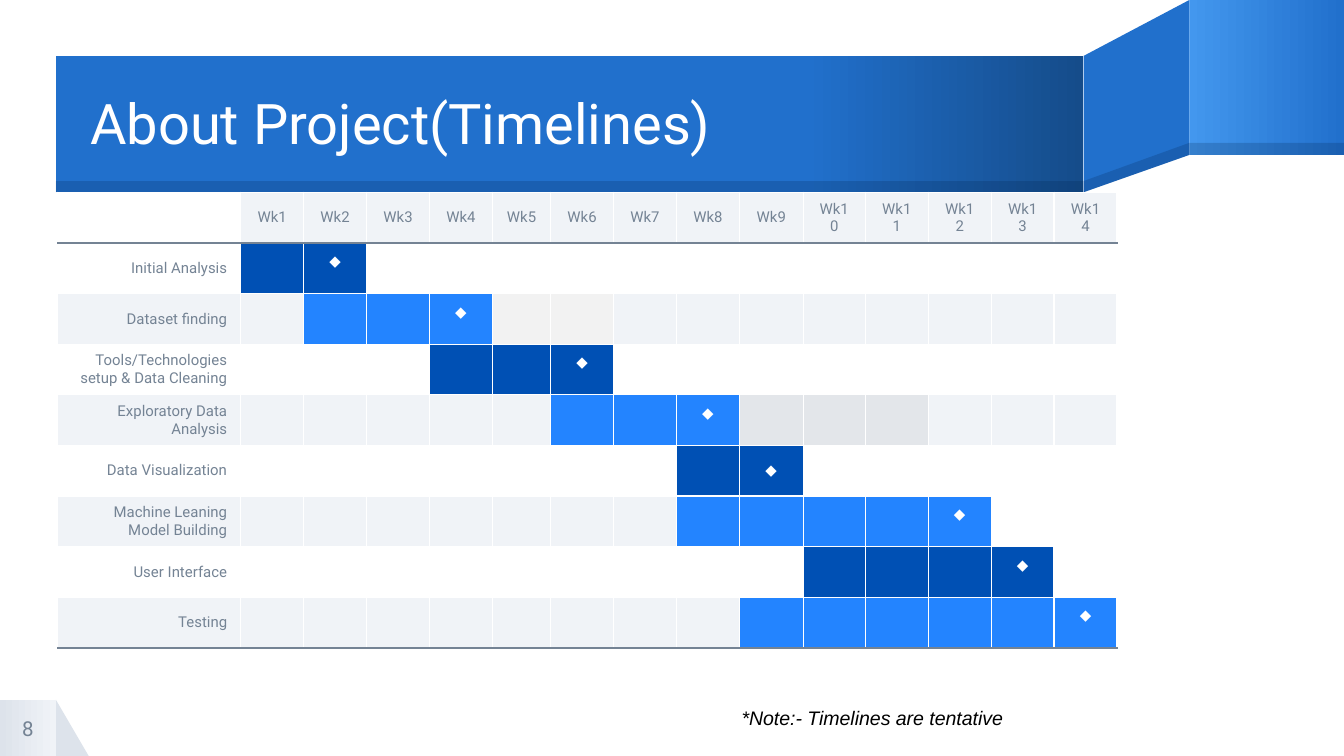
from lxml.etree import SubElement
from pptx import Presentation
from pptx.dml.color import RGBColor
from pptx.enum.shapes import MSO_SHAPE as Shape
from pptx.enum.text import MSO_ANCHOR as Anchor, PP_ALIGN as Align
from pptx.oxml import parse_xml
from pptx.oxml.ns import nsdecls, qn
from pptx.util import Pt

WHITE = RGBColor(0xFF, 0xFF, 0xFF)
BLACK = RGBColor(0x00, 0x00, 0x00)
GREY = RGBColor(0x74, 0x83, 0x94)
PALE = RGBColor(0xF0, 0xF3, 0xF7)
MIST = RGBColor(0xDD, 0xE3, 0xEB)
SMOKE = RGBColor(0xF2, 0xF2, 0xF2)
SILVER = RGBColor(0xE3, 0xE6, 0xEA)
NAVY = RGBColor(0x00, 0x50, 0xB4)
AZURE = RGBColor(0x23, 0x84, 0xFF)
BLUE = RGBColor(0x21, 0x70, 0xCC)
SKY = RGBColor(0x43, 0x97, 0xEE)
DEEP = RGBColor(0x15, 0x4C, 0x8A)
SHADE = RGBColor(0x00, 0x1F, 0x46)

WEEKS = 14
TASKS = [
    ("Initial Analysis", 1, 2, 2, None),
    ("Dataset finding", 2, 4, 6, SMOKE),
    ("Tools/Technologies setup & Data Cleaning", 4, 6, 6, None),
    ("Exploratory Data Analysis", 6, 8, 11, SILVER),
    ("Data Visualization", 8, 9, 9, None),
    ("Machine Leaning Model Building", 8, 12, 14, WHITE),
    ("User Interface", 10, 13, 13, None),
    ("Testing", 9, 14, 14, None),
]


def paint(sp, color, alpha=None):
    """Fill a shape with one colour, without line or shadow."""
    sp.shadow.inherit = False
    sp.line.fill.background()
    sp.fill.solid()
    sp.fill.fore_color.rgb = color
    if alpha is not None:
        clr = sp.fill._xPr.find(qn("a:solidFill"))[0]
        SubElement(clr, qn("a:alpha"), val=str(alpha * 1000))


def add_block(s, kind, x, y, w, h, color, alpha=None):
    """Add a preset shape in one colour."""
    sp = s.shapes.add_shape(kind, Pt(x), Pt(y), Pt(w), Pt(h))
    paint(sp, color, alpha)
    return sp


def add_gradient(s, x, y, w, h, start, end, offset=0):
    """Add a rectangle that fades from left to right."""
    sp = add_block(s, Shape.RECTANGLE, x, y, w, h, start)
    sp.fill.gradient()
    sp.fill.gradient_angle = 0
    first, last = sp.fill.gradient_stops
    first.position, first.color.rgb = offset, start
    last.position, last.color.rgb = 1, end


def add_polygon(s, points, color, alpha=None):
    """Add a closed outline through the points."""
    points = [(Pt(x), Pt(y)) for x, y in points]
    builder = s.shapes.build_freeform(*points[0])
    builder.add_line_segments(points[1:], close=True)
    paint(builder.convert_to_shape(), color, alpha)


def style_text(p, text, size, color, align, font="Roboto"):
    """Set the wording and font of a paragraph."""
    p.text = text
    p.alignment = align
    p.font.size, p.font.name, p.font.color.rgb = Pt(size), font, color


def add_text(s, x, y, w, h, inset=0):
    """Add a wrapping text box and return its frame."""
    tf = s.shapes.add_textbox(Pt(x), Pt(y), Pt(w), Pt(h)).text_frame
    tf.word_wrap = True
    tf.margin_left = tf.margin_right = Pt(2 * inset)
    tf.margin_top = tf.margin_bottom = Pt(inset)
    return tf


def build_ribbon(s, x, y, w, h):
    """Draw the folded title ribbon, whose tail runs along the top."""
    fold, edge = x + 550.5, x + 607.2
    bottom, tail = y + h, 83
    add_polygon(s, [(edge, 0), (fold, y), (fold, bottom), (edge, tail)], BLUE)
    add_gradient(s, edge, 0, x + w - edge, tail, SKY, BLUE)
    add_gradient(s, x, y, fold - x, h, BLUE, DEEP, 0.73)
    add_polygon(s, [(edge, tail - 6.5), (fold, bottom - 6), (fold, bottom), (edge, tail)], SHADE, 20)
    add_block(s, Shape.RECTANGLE, edge, tail - 6.5, x + w - edge, 6.5, SHADE, 20)
    add_block(s, Shape.RECTANGLE, x, bottom - 6, fold - x, 6, SHADE, 20)
    tf = add_text(s, x + 18.4, y + 1, fold - x - 18.4, h)
    tf.vertical_anchor = Anchor.MIDDLE
    style_text(tf.paragraphs[0], "About Project(Timelines)", 30, WHITE, Align.LEFT)
    tf.paragraphs[0].line_spacing = 0.9


def build_page_number(s, x, y, w, h):
    """Draw the corner tab with the page number."""
    add_block(s, Shape.RIGHT_TRIANGLE, x + w, y, 17.5, h, MIST)
    add_gradient(s, x, y, w, h, MIST, PALE)
    tf = add_text(s, x, y, w, h)
    tf.vertical_anchor = Anchor.MIDDLE
    style_text(tf.paragraphs[0], "8", 11, GREY, Align.CENTER)


def style_cell(cell, fill, top, bottom):
    """Give a cell its fill and four thin borders."""
    if fill is None:
        cell.fill.background()
    else:
        cell.fill.solid()
        cell.fill.fore_color.rgb = fill
    cell.vertical_anchor = Anchor.MIDDLE
    cell.margin_top = cell.margin_bottom = Pt(3.6 if cell.text else 0)
    tc_pr = cell._tc.get_or_add_tcPr()
    sides = {"L": WHITE, "R": WHITE, "T": top, "B": bottom}
    for i, (side, color) in enumerate(sides.items()):
        tc_pr.insert(i, parse_xml(
            f'<a:ln{side} {nsdecls("a")} w="{Pt(0.75)}"><a:solidFill>'
            f'<a:srgbClr val="{color}"/></a:solidFill></a:ln{side}>'))


def task_fill(row, week, first, last, tail_end, tail):
    """Return the colour of one week in a task row."""
    if first <= week <= last:
        return NAVY if row % 2 else AZURE
    if last < week <= tail_end:
        return tail
    return None if row % 2 else PALE


def build_gantt(s, x, y, w, h):
    """Draw the schedule as a table of tasks by weeks."""
    rows = len(TASKS) + 1
    table = s.shapes.add_table(rows, WEEKS + 1, Pt(x), Pt(y), Pt(w), Pt(h)).table
    table.first_row = table.horz_banding = False
    widths = {0: 98, 5: 31.2, 9: 34.2, 10: 33.3}
    week_w = (w - sum(widths.values())) / (WEEKS + 1 - len(widths))
    for i, col in enumerate(table.columns):
        col.width = Pt(widths.get(i, week_w))
    for row in table.rows:
        row.height = Pt(h / rows)

    for week in range(WEEKS + 1):
        cell = table.cell(0, week)
        if week:
            style_text(cell.text_frame.paragraphs[0], f"Wk{week}", 8, GREY, Align.CENTER)
        style_cell(cell, PALE if week else None, WHITE, GREY)

    for row, (name, first, last, tail_end, tail) in enumerate(TASKS, 1):
        top = GREY if row == 1 else WHITE
        bottom = GREY if row == len(TASKS) else WHITE
        for week in range(WEEKS + 1):
            cell = table.cell(row, week)
            p = cell.text_frame.paragraphs[0]
            if week == 0:
                style_text(p, name, 8, GREY, Align.RIGHT)
            elif week == last:
                style_text(p, "◆", 8, WHITE, Align.CENTER)
            style_cell(cell, task_fill(row, week, first, last, tail_end, tail), top, bottom)
            if week == last and name != "Data Visualization":
                cell.margin_bottom = Pt(11)


def build_note(s, x, y, w, h):
    """Write the remark under the schedule."""
    p = add_text(s, x, y, w, h, 3.6).paragraphs[0]
    style_text(p, "*Note:- Timelines are tentative", 10.5, BLACK, Align.LEFT, "Arial")
    p.font.italic = True


def main():
    """Build the slide and save it."""
    prs = Presentation()
    prs.slide_width, prs.slide_height = Pt(720), Pt(405)
    s = prs.slides.add_slide(prs.slide_layouts[6])
    build_page_number(s, 0, 375, 30, 30)
    build_ribbon(s, 30, 30, 690, 73)
    build_gantt(s, 31, 103, 567.7, 244.4)
    build_note(s, 390.2, 374.4, 360, 21)
    prs.save("out.pptx")


if __name__ == "__main__":
    main()
